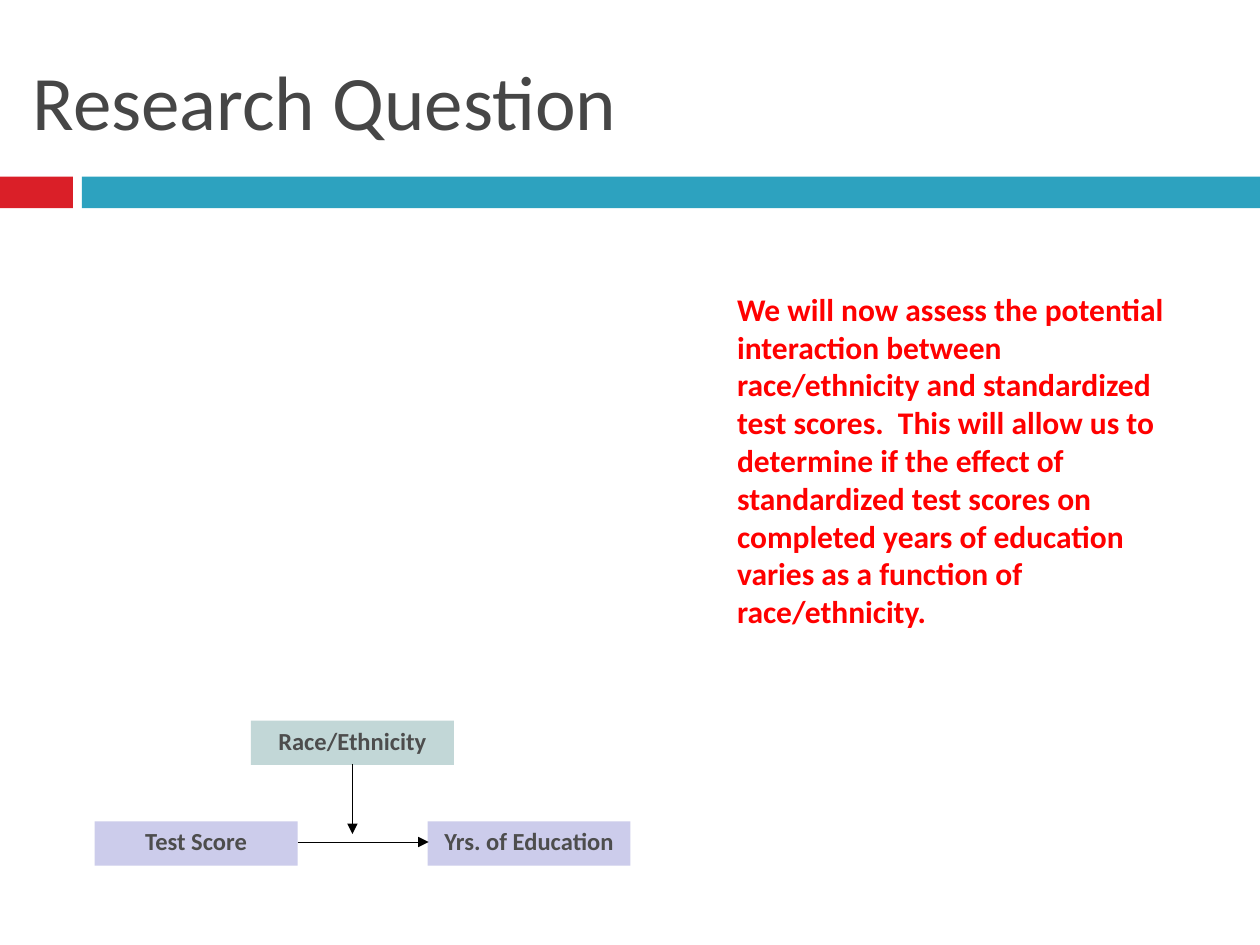
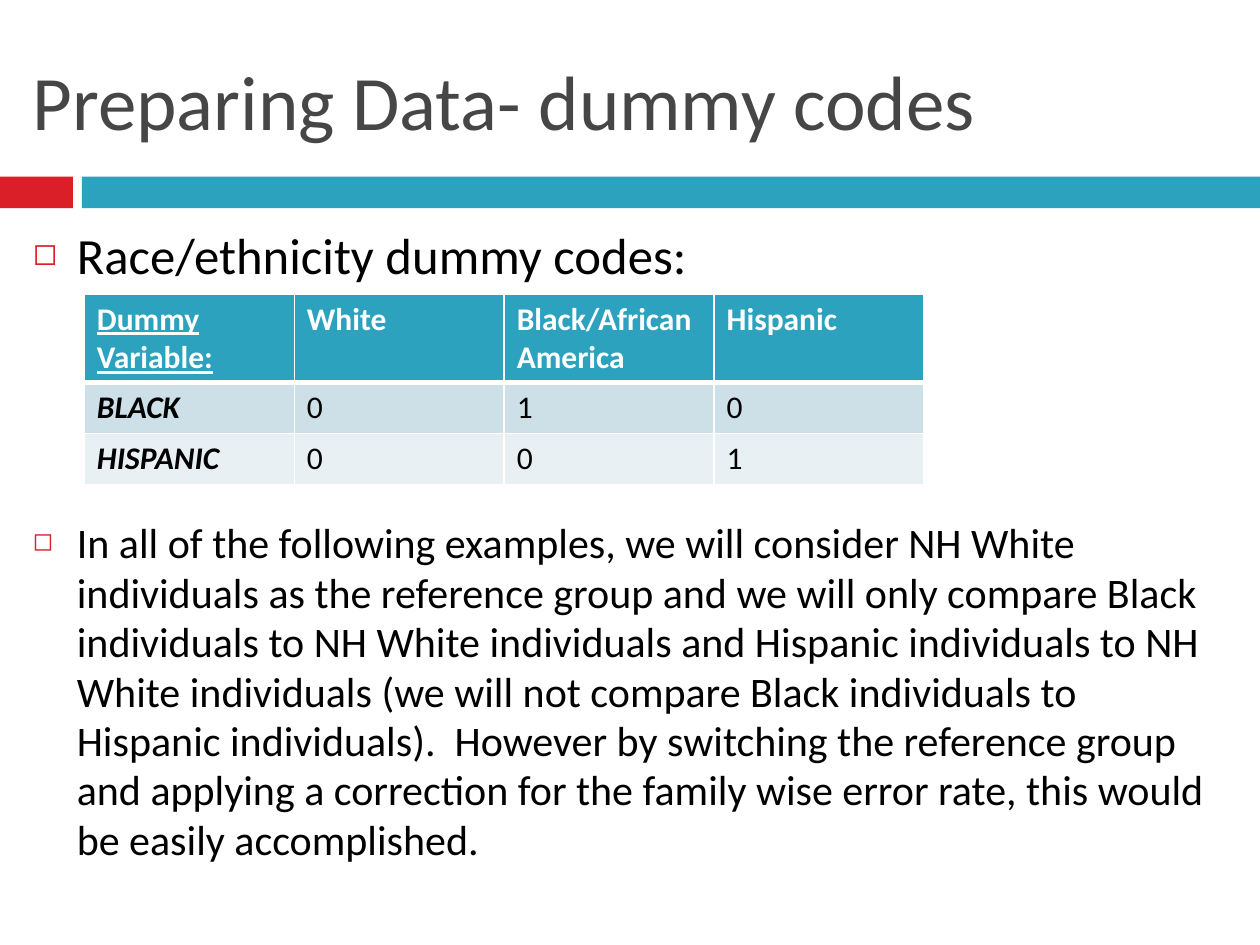
from lxml import etree
from pptx import Presentation
from pptx import util as u
from pptx.dml.color import RGBColor
from pptx.enum import shapes, text
from pptx.oxml.ns import qn

FONT = "Calibri"
SLIDE_WIDTH, SLIDE_HEIGHT = 25.4, 19.05
COLORS = {
    "title": "464646", "red_band": "DA1F28", "blue_band": "2DA2BF",
    "node_text": "4D4D4D", "node": "CCCCEB", "moderator": "C2D7D7",
    "emphasis": "FF0000", "black": "000000", "white": "FFFFFF",
    "row_dark": "CDE0E8", "row_light": "E8F0F4",
}
QUESTION = (
    "We will now assess the potential interaction between race/ethnicity and "
    "standardized test scores.  This will allow us to determine if the effect of "
    "standardized test scores on completed years of education varies as a function "
    "of race/ethnicity."
)
REFERENCE_GROUP = (
    "In all of the following examples, we will consider NH White individuals as the "
    "reference group and we will only compare Black individuals to NH White individuals "
    "and Hispanic individuals to NH White individuals (we will not compare Black "
    "individuals to Hispanic individuals).  However by switching the reference group and "
    "applying a correction for the family wise error rate, this would be easily "
    "accomplished."
)
DUMMY_CODES = [
    ["Dummy Variable:", "White", "Black/African America", "Hispanic"],
    ["BLACK", "0", "1", "0"],
    ["HISPANIC", "0", "0", "1"],
]


def color(name):
    return RGBColor.from_string(COLORS[name])


def lengths(*values):
    return [u.Cm(value) for value in values]


def add_run(paragraph, words, size, color_name, bold=False, italic=False, underline=False):
    run = paragraph.add_run()
    run.text = words
    font = run.font
    font.name, font.size = FONT, u.Pt(size)
    font.bold, font.italic, font.underline = bold, italic, underline
    font.color.rgb = color(color_name)


def add_text_box(slide, box, anchor=text.MSO_ANCHOR.TOP):
    frame = slide.shapes.add_textbox(*lengths(*box)).text_frame
    frame.word_wrap = True
    frame.vertical_anchor = anchor
    return frame


def add_rectangle(slide, box, fill):
    shape = slide.shapes.add_shape(shapes.MSO_SHAPE.RECTANGLE, *lengths(*box))
    shape.shadow.inherit = False
    shape.fill.solid()
    shape.fill.fore_color.rgb = color(fill)
    shape.line.fill.background()
    return shape


def add_titled_slide(presentation, title):
    slide = presentation.slides.add_slide(presentation.slide_layouts[6])
    add_rectangle(slide, (0, 3.56, 1.47, 0.64), "red_band")
    add_rectangle(slide, (1.65, 3.56, SLIDE_WIDTH - 1.65, 0.64), "blue_band")
    frame = add_text_box(slide, (0.41, 0.64, 24.36, 2.74), text.MSO_ANCHOR.MIDDLE)
    add_run(frame.paragraphs[0], title, 44, "title")
    return slide


def add_node(slide, box, label, fill):
    node = add_rectangle(slide, box, fill)
    frame = node.text_frame
    frame.word_wrap = True
    frame.vertical_anchor = text.MSO_ANCHOR.TOP
    frame.margin_left = frame.margin_right = u.Cm(0.1)
    frame.margin_top = frame.margin_bottom = u.Cm(0.1)
    paragraph = frame.paragraphs[0]
    paragraph.alignment = text.PP_ALIGN.CENTER
    add_run(paragraph, label, 14, "node_text", bold=True)


def add_arrow(slide, start, end):
    arrow = slide.shapes.add_connector(
        shapes.MSO_CONNECTOR.STRAIGHT, *lengths(*start, *end))
    arrow.line.color.rgb = color("black")
    arrow.line.width = u.Pt(0.25)
    line = arrow.line._get_or_add_ln()
    etree.SubElement(line, qn("a:tailEnd"), type="triangle")
    etree.SubElement(arrow._element.spPr, qn("a:effectLst"))


def add_moderation_diagram(slide, box):
    left, top, width, height = box
    node_width, node_height = 4.09, 0.89
    lower_top = top + height - node_height
    right_left = left + width - node_width
    moderator_left = left + 3.15
    add_node(slide, (left, lower_top, node_width, node_height), "Test Score", "node")
    add_node(slide, (right_left, lower_top, node_width, node_height),
             "Yrs. of Education", "node")
    add_node(slide, (moderator_left, top, node_width, node_height),
             "Race/Ethnicity", "moderator")
    path_y = lower_top + node_height / 2 - 0.03
    moderator_x = moderator_left + node_width / 2
    add_arrow(slide, (left + node_width, path_y), (right_left + 0.02, path_y))
    add_arrow(slide, (moderator_x, top + node_height - 0.02), (moderator_x, path_y - 0.16))


def add_bullet(paragraph, words, size, space_before):
    paragraph.space_before = u.Pt(space_before)
    paragraph.line_spacing = 0.98
    properties = paragraph._p.get_or_add_pPr()
    indent = u.Cm(0.89)
    properties.set("marL", str(indent))
    properties.set("indent", str(-indent))
    bullet_color = etree.SubElement(properties, qn("a:buClr"))
    etree.SubElement(bullet_color, qn("a:srgbClr"), val=COLORS["red_band"])
    etree.SubElement(properties, qn("a:buSzPct"), val="60000")
    etree.SubElement(properties, qn("a:buChar"), char="◻")
    add_run(paragraph, words, size, "black")


def set_cell_borders(cell, row_index):
    properties = cell._tc.get_or_add_tcPr()
    thick_side = {0: "B", 1: "T"}.get(row_index)
    for position, side in enumerate("LRTB"):
        width = u.Pt(3 if side == thick_side else 1)
        border = etree.Element(qn(f"a:ln{side}"), w=str(width))
        fill = etree.SubElement(border, qn("a:solidFill"))
        etree.SubElement(fill, qn("a:srgbClr"), val=COLORS["white"])
        properties.insert(position, border)


def add_code_table(slide, box):
    row_fills = ["blue_band", "row_dark", "row_light"]
    table = slide.shapes.add_table(
        len(DUMMY_CODES), len(DUMMY_CODES[0]), *lengths(*box)).table
    for row, height in zip(table.rows, (1.77, 1.03, 1.03)):
        row.height = u.Cm(height)
    for row_index, values in enumerate(DUMMY_CODES):
        header = row_index == 0
        for column_index, value in enumerate(values):
            label = column_index == 0
            cell = table.cell(row_index, column_index)
            cell.fill.solid()
            cell.fill.fore_color.rgb = color(row_fills[row_index])
            set_cell_borders(cell, row_index)
            add_run(cell.text_frame.paragraphs[0], value, 18,
                    "white" if header else "black", bold=header or label,
                    italic=label and not header, underline=label and header)


def add_question_slide(presentation):
    slide = add_titled_slide(presentation, "Research Question")
    add_moderation_diagram(slide, (1.91, 14.53, 10.8, 2.92))
    frame = add_text_box(slide, (14.61, 5.72, 9.53, 6.4))
    add_run(frame.paragraphs[0], QUESTION, 18, "emphasis", bold=True)


def add_dummy_code_slide(presentation):
    slide = add_titled_slide(presentation, "Preparing Data- dummy codes")
    frame = add_text_box(slide, (0.41, 4.45, 24.36, 12.5))
    add_bullet(frame.paragraphs[0], "Race/ethnicity dummy codes:", 29, 7)
    add_bullet(frame.add_paragraph(), REFERENCE_GROUP, 24, 133)
    add_code_table(slide, (1.7, 5.93, 16.93, 3.83))


def main():
    presentation = Presentation()
    presentation.slide_width, presentation.slide_height = lengths(SLIDE_WIDTH, SLIDE_HEIGHT)
    add_question_slide(presentation)
    add_dummy_code_slide(presentation)
    presentation.save("out.pptx")


if __name__ == "__main__":
    main()
